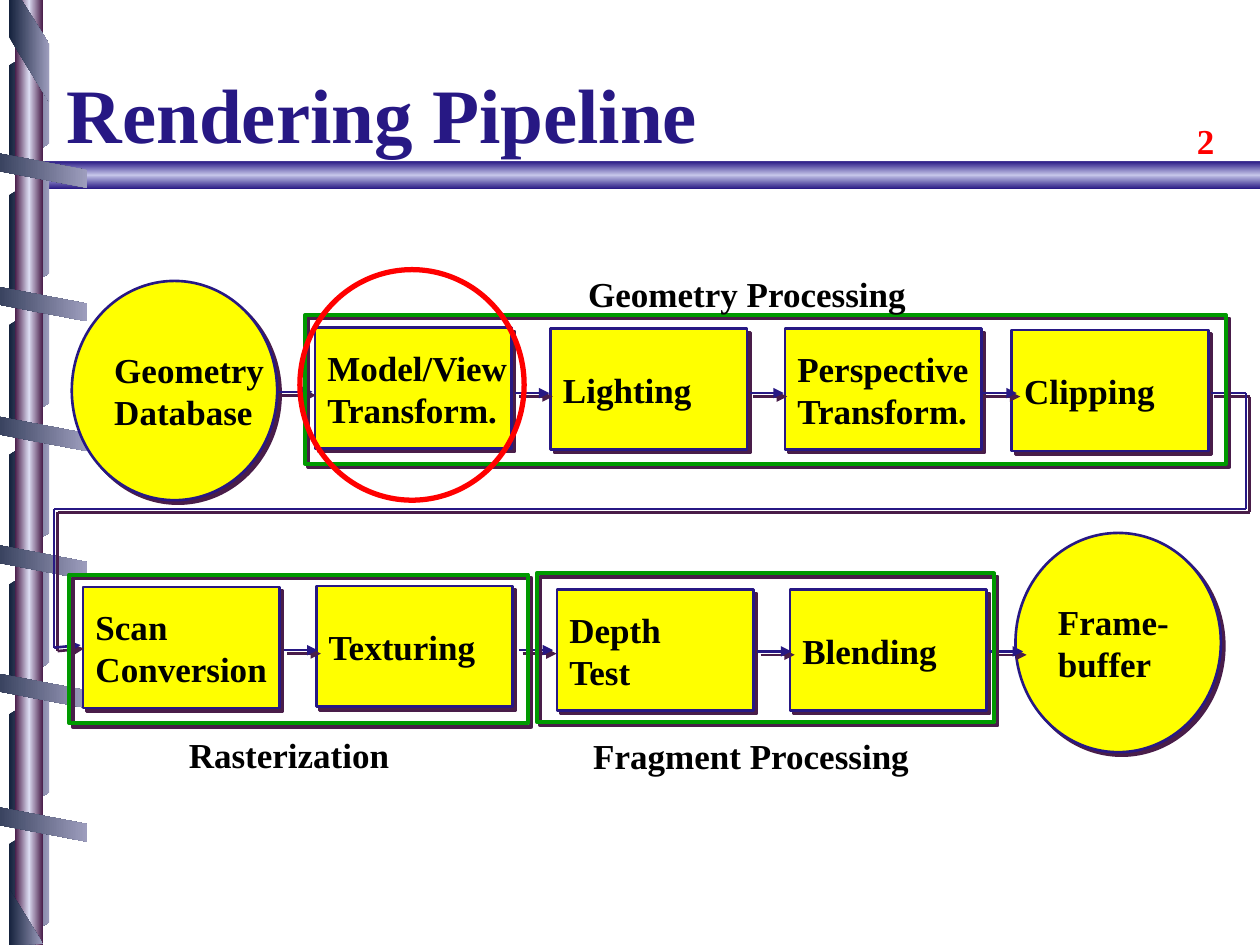
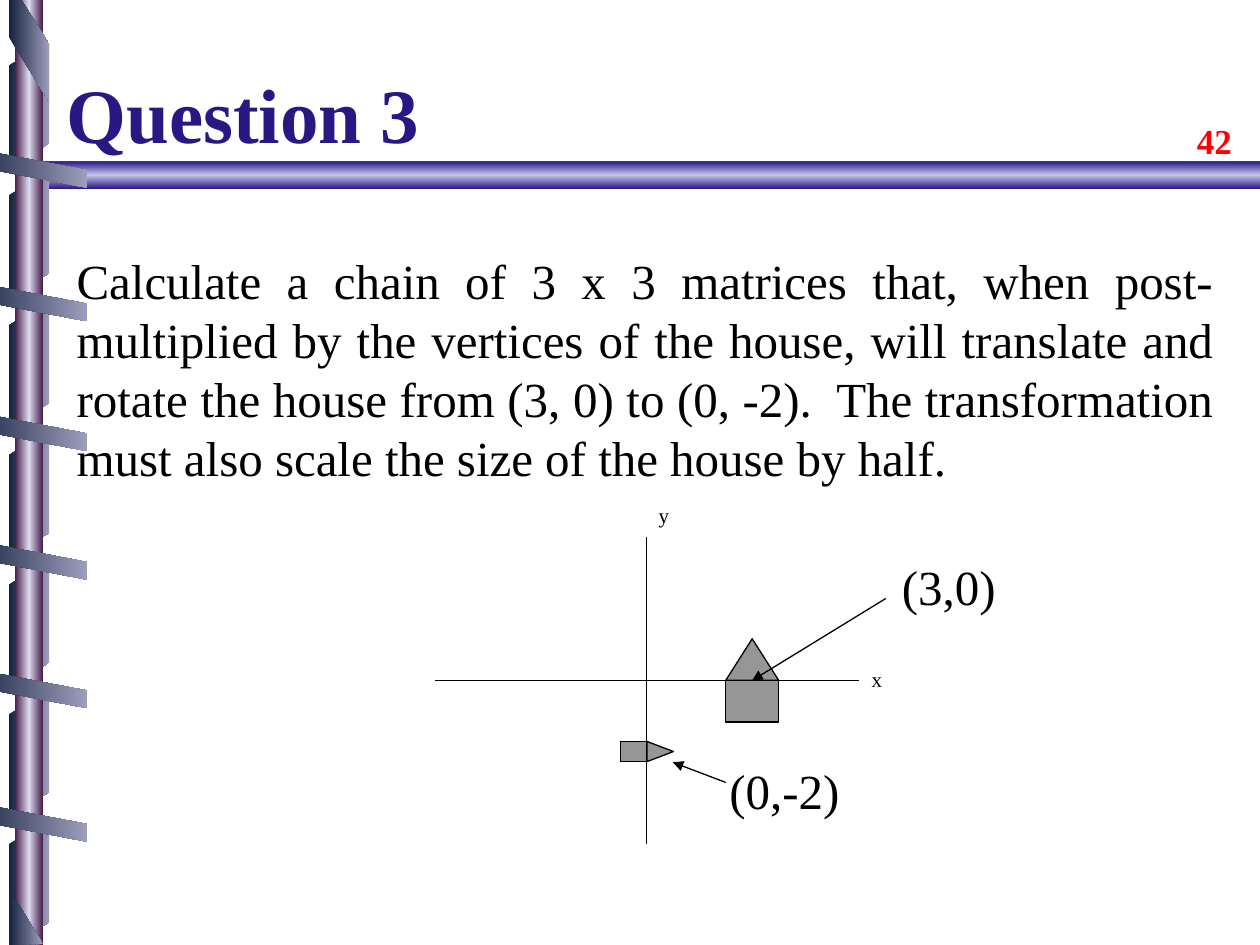
"""Build two graphics lecture slides: a rendering pipeline and a matrix question."""
from itertools import pairwise
from copy import deepcopy
from lxml import etree
from pptx import Presentation
from pptx.dml.color import RGBColor
from pptx.enum.shapes import MSO_CONNECTOR, MSO_SHAPE
from pptx.enum.text import MSO_ANCHOR, PP_ALIGN
from pptx.oxml.ns import qn
from pptx.util import Inches, Pt

RECT, OVAL = MSO_SHAPE.RECTANGLE, MSO_SHAPE.OVAL
PLATE, ROOF = MSO_SHAPE.PENTAGON, MSO_SHAPE.ISOSCELES_TRIANGLE
STRAIGHT = MSO_CONNECTOR.STRAIGHT
TOP, MIDDLE, BOTTOM = MSO_ANCHOR.TOP, MSO_ANCHOR.MIDDLE, MSO_ANCHOR.BOTTOM
LEFT, JUSTIFY = PP_ALIGN.LEFT, PP_ALIGN.JUSTIFY

NAVY = RGBColor(0x27, 0x18, 0x84)
LILAC = RGBColor(0xC5, 0xC5, 0xE9)
PALE = RGBColor(0xDB, 0xDB, 0xF1)
PLUM = RGBColor(0x49, 0x1D, 0x49)
INK = RGBColor(0x14, 0x21, 0x3C)
MIST = RGBColor(0x9D, 0x9D, 0xBD)
YELLOW = RGBColor(0xFF, 0xFF, 0x00)
GREEN = RGBColor(0x00, 0x99, 0x00)
RED = RGBColor(0xFF, 0x00, 0x00)
GRAY = RGBColor(0x96, 0x96, 0x96)
BLACK = RGBColor(0x00, 0x00, 0x00)


def paint(item, fill=None, line=None, width=1.5, cast=False, arrow=False, angle=0):
    """Set fill, line, arrowhead and shadow; a list of colours makes a gradient."""
    props = item._element.spPr
    if isinstance(fill, list):
        item.fill.gradient()
        item.fill.gradient_angle = angle
        stops = props.find(".//" + qn("a:gsLst"))
        for _ in fill[2:]:
            stops.append(deepcopy(stops[0]))
        for i, (stop, color) in enumerate(zip(item.fill.gradient_stops, fill)):
            stop.color.rgb = color
            stop.position = i / (len(fill) - 1)
    elif fill is not None:
        item.fill.solid()
        item.fill.fore_color.rgb = fill
    elif hasattr(item, "fill"):
        item.fill.background()
    if line is None:
        item.line.fill.background()
    else:
        item.line.color.rgb = line
        item.line.width = Pt(width)
    if arrow:
        etree.SubElement(props.find(qn("a:ln")), qn("a:tailEnd"), type="triangle")
    effects = etree.SubElement(props, qn("a:effectLst"))
    if cast:
        shade = etree.SubElement(effects, qn("a:outerShdw"), blurRad="0", dist=str(Pt(2.8)),
                                 dir="2700000", algn="ctr", rotWithShape="0")
        etree.SubElement(shade, qn("a:srgbClr"), val=str(PLUM))


def write(item, text, size=20, bold=True, color=BLACK, wrap=False, anchor=TOP, align=LEFT):
    """Put one paragraph per line of text into a shape."""
    frame = item.text_frame
    frame.text = text
    for key, value in {"word_wrap": wrap, "vertical_anchor": anchor}.items():
        setattr(frame, key, value)
    for para in frame.paragraphs:
        para.alignment = align
        for key, value in {"name": "Times New Roman", "size": Pt(size), "bold": bold}.items():
            setattr(para.font, key, value)
        para.font.color.rgb = color


deck = Presentation()
deck.slide_width, deck.slide_height = Inches(10), Inches(7.5)

spiral = [[(0.07, 0), (0.07, 0.29), (0.39, 0.81), (0.39, 0.35), (0.17, 0)],
          [(0.34, 7.49), (0.07, 7.05), (0.07, 7.5)]]
for y in (1.17, 2.23, 3.26, 4.28, 5.3, 6.36):
    spiral.append([(-0.26, y), (0.69, y + 0.18), (0.69, y + 0.32), (-0.26, y + 0.14)])
back = []
for i in range(7):
    y = 0.34 + 1.03 * i
    back.append([(0.07, y + 0.18), (0.39, y), (0.39, y + 0.8), (0.07, y + 0.98)])

pages = []
for title, number in (("Rendering Pipeline", "2"), ("Question 3", "42")):
    shapes = deck.slides.add_slide(deck.slide_layouts[6]).shapes
    pages.append(shapes)
    band = shapes.add_shape(PLATE, Inches(0.19), Inches(1.28), Inches(9.81), Inches(0.22))
    band.adjustments[0] = 0.77
    band._element.spPr.xfrm.set("flipH", "1")
    paint(band, [NAVY, LILAC, NAVY], angle=90)
    knob = shapes.add_shape(OVAL, Inches(0.14), Inches(1.27), Inches(0.24), Inches(0.22))
    paint(knob, PALE)
    for layer in (back, spiral):
        for outline in layer:
            dots = [(Inches(x), Inches(y)) for x, y in outline]
            pen = shapes.build_freeform(*dots[0])
            pen.add_line_segments(dots[1:])
            paint(pen.convert_to_shape(), [INK, MIST])
        if layer is back:
            post = shapes.add_shape(RECT, Inches(0.12), 0, Inches(0.22), Inches(7.5))
            paint(post, [PLUM, PALE, PLUM])
    box = shapes.add_textbox(Inches(9.4), Inches(0.9), Inches(0.6), Inches(0.43))
    write(box, number, color=RED, wrap=True)
    box = shapes.add_textbox(Inches(0.43), Inches(0.14), Inches(8.14), Inches(1.17))
    write(box, title, 44, color=NAVY, wrap=True, anchor=BOTTOM)

flow, quiz = pages

for kind, x, y, w, h, text in (
    (OVAL, 0.57, 2.23, 1.63, 1.74, "Geometry\nDatabase"),
    (RECT, 2.5, 2.6, 1.56, 0.96, "Model/View\nTransform."),
    (RECT, 4.37, 2.61, 1.56, 0.96, "Lighting"),
    (RECT, 6.23, 2.61, 1.56, 0.96, "Perspective\nTransform."),
    (RECT, 8.03, 2.62, 1.56, 0.96, "Clipping"),
    (RECT, 0.66, 4.66, 1.56, 0.96, "Scan\nConversion"),
    (RECT, 2.51, 4.65, 1.56, 0.96, "Texturing"),
    (RECT, 4.42, 4.68, 1.56, 0.96, "Depth\nTest"),
    (RECT, 6.27, 4.68, 1.56, 0.96, "Blending"),
    (OVAL, 8.06, 4.23, 1.63, 1.74, "Frame-\nbuffer"),
):
    stage = flow.add_shape(kind, Inches(x), Inches(y), Inches(w), Inches(h))
    paint(stage, YELLOW, NAVY, cast=True)
    write(stage, text, anchor=MIDDLE)

hops = [((x, y), (x + 0.27, y), True) for x, y in (
    (2.21, 3.11), (4.09, 3.12), (5.95, 3.12), (7.8, 3.12),
    (2.25, 5.16), (4.12, 5.16), (6.01, 5.17), (7.85, 5.17))]
bends = [(9.61, 3.12), (9.89, 3.12), (9.89, 4.04), (0.43, 4.04), (0.43, 5.14), (0.64, 5.12)]
hops += [(a, b, b == bends[-1]) for a, b in pairwise(bends)]
for start, end, arrow in hops:
    link = flow.add_connector(STRAIGHT, *map(Inches, start + end))
    paint(link, line=NAVY, cast=True, arrow=arrow)

for x, y, w, text, left, top, wide in (
    (2.42, 2.5, 7.31, "Geometry Processing", 4.57, 2.11, 2.74),
    (0.55, 4.56, 3.64, "Rasterization", 1.4, 5.77, 1.8),
    (4.26, 4.55, 3.63, "Fragment Processing", 4.61, 5.78, 2.73),
):
    group = flow.add_shape(RECT, Inches(x), Inches(y), Inches(w), Inches(1.18))
    paint(group, line=GREEN, width=2.25, cast=True)
    label = flow.add_textbox(Inches(left), Inches(top), Inches(wide), Inches(0.44))
    write(label, text)

ring = flow.add_shape(OVAL, Inches(2.38), Inches(2.14), Inches(1.78), Inches(1.83))
paint(ring, line=RED, width=3)

for x, y, w, h, size, wrap, anchor, align, text in (
    (0.51, 1.94, 9.22, 1.97, 28, True, MIDDLE, JUSTIFY,
     "Calculate a chain of 3 x 3 matrices that, when post-multiplied by the vertices of "
     "the house, will translate and rotate the house from (3, 0) to (0, -2).  The "
     "transformation must also scale the size of the house by half."),
    (6.82, 5.24, 0.63, 0.49, 12, True, TOP, LEFT, "x"),
    (5.13, 3.94, 0.63, 0.49, 12, True, TOP, LEFT, "y"),
    (7.06, 4.37, 0.95, 0.57, 28, False, TOP, LEFT, "(3,0)"),
    (5.69, 5.99, 1.08, 0.57, 28, False, TOP, LEFT, "(0,-2)"),
):
    box = quiz.add_textbox(Inches(x), Inches(y), Inches(w), Inches(h))
    write(box, text, size, False, wrap=wrap, anchor=anchor, align=align)

for ends in ((5.13, 4.26, 5.13, 6.7), (3.45, 5.4, 6.82, 5.4)):
    axis = quiz.add_connector(STRAIGHT, *map(Inches, ends))
    paint(axis, line=BLACK, width=0.75)

parts = []
for kind, x, y, w, h, turn in (
    (RECT, 5.76, 5.4, 0.42, 0.33, 0), (ROOF, 5.76, 5.07, 0.42, 0.33, 0),
    (RECT, 4.95, 5.86, 0.16, 0.21, 90), (ROOF, 5.16, 5.86, 0.16, 0.21, 90),
):
    part = quiz.add_shape(kind, Inches(x), Inches(y), Inches(w), Inches(h))
    part.rotation = turn
    paint(part, GRAY, BLACK, 0.75)
    parts.append(part)

for ends, goal in (((7.03, 4.75, 5.97, 5.4), parts[0]), ((5.76, 6.21, 5.34, 6.05), None)):
    link = quiz.add_connector(STRAIGHT, *map(Inches, ends))
    if goal is not None:
        link.end_connect(goal, 0)
    paint(link, line=BLACK, width=0.75, arrow=True)

deck.save("out.pptx")
